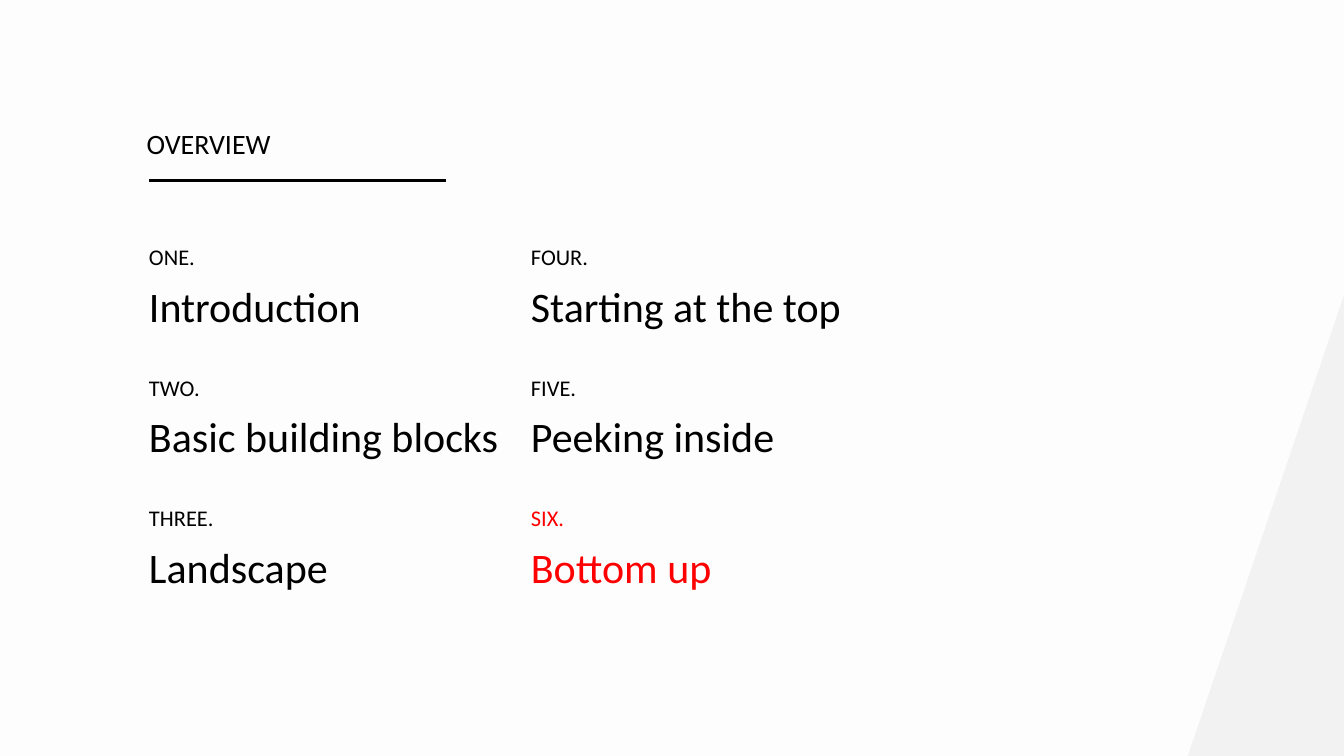
from lxml import etree
from pptx import Presentation
from pptx import util as u
from pptx.dml.color import RGBColor
from pptx.enum import shapes, text
from pptx.oxml import ns

BACKGROUND = RGBColor(0xFD, 0xFD, 0xFD)
BLACK = RGBColor(0x00, 0x00, 0x00)
RED = RGBColor(0xFF, 0x00, 0x00)
PALE_GREY = RGBColor(0xF2, 0xF2, 0xF2)
FONT = "Calibri"
ROWS = 3
CHAPTERS = [
    ("ONE.", "Introduction", BLACK),
    ("TWO.", "Basic building blocks", BLACK),
    ("THREE.", "Landscape", BLACK),
    ("FOUR.", "Starting at the top", BLACK),
    ("FIVE.", "Peeking inside", BLACK),
    ("SIX.", "Bottom up", RED),
]


def add_label(slide, left, top, width, height, words, size, color, spacing=1.0):
    """Place one line of text in a box measured in centimetres."""
    box = slide.shapes.add_textbox(u.Cm(left), u.Cm(top), u.Cm(width), u.Cm(height))
    frame = box.text_frame
    frame.word_wrap = True
    frame.auto_size = text.MSO_AUTO_SIZE.SHAPE_TO_FIT_TEXT
    paragraph = frame.paragraphs[0]
    paragraph.line_spacing = spacing
    run = paragraph.add_run()
    run.text = words
    run.font.name = FONT
    run.font.size = u.Pt(size)
    run.font.color.rgb = color


def add_heading(slide, left, top, width):
    """Place the heading with its rule below."""
    add_label(slide, left, top, width, 1.96, "OVERVIEW", 40, BLACK)
    rule_left, rule_top = left + 0.38, top + 2.82
    rule = slide.shapes.add_connector(
        shapes.MSO_CONNECTOR.STRAIGHT,
        u.Cm(rule_left), u.Cm(rule_top), u.Cm(rule_left + 14.96), u.Cm(rule_top),
    )
    rule.line.color.rgb = BLACK
    rule.line.width = u.Pt(5)
    etree.SubElement(rule._element.spPr, ns.qn("a:effectLst"))


def add_chapter(slide, left, top, number, title, color):
    """Place a chapter number with its title below."""
    add_label(slide, left, top, 10.67, 2.08, number, 32, color, 1.5)
    add_label(slide, left, top + 1.28, 19.68, 3.68, title, 60, color, 1.5)


def add_chapters(slide, left, top, column_step, row_step):
    """Place the chapters in columns, filled downwards."""
    for index, chapter in enumerate(CHAPTERS):
        column, row = divmod(index, ROWS)
        add_chapter(slide, left + column * column_step, top + row * row_step, *chapter)


def add_corner(slide, left, top, width, height):
    """Place the pale triangle in the lower right corner of its box."""
    right, bottom = u.Cm(left + width), u.Cm(top + height)
    builder = slide.shapes.build_freeform(right, u.Cm(top), scale=1.0)
    builder.add_line_segments([(right, bottom), (u.Cm(left), bottom)], close=True)
    corner = builder.convert_to_shape()
    corner.shadow.inherit = False
    corner.fill.solid()
    corner.fill.fore_color.rgb = PALE_GREY
    corner.line.fill.background()


def build_overview(presentation):
    """Add the overview slide."""
    slide = presentation.slides.add_slide(presentation.slide_layouts[6])
    slide.background.fill.solid()
    slide.background.fill.fore_color.rgb = BACKGROUND
    add_corner(slide, 59.87, 14.5, 8, 23.6)
    add_heading(slide, 7.14, 6.27, 24.23)
    add_chapters(slide, 7.26, 11.46, 19.25, 6.57)


presentation = Presentation()
presentation.slide_width = u.Cm(67.74)
presentation.slide_height = u.Cm(38.1)
build_overview(presentation)
presentation.save("out.pptx")
